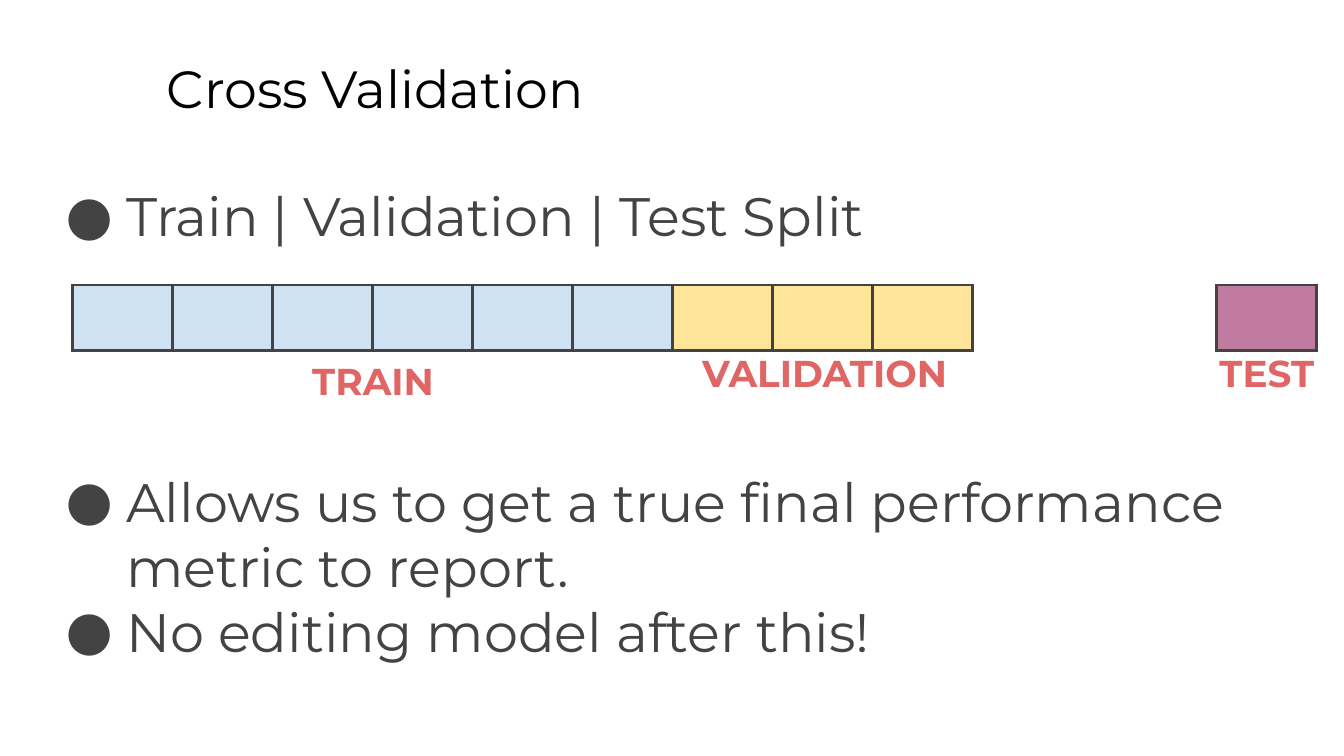
from lxml.etree import SubElement
from pptx import Presentation
from pptx.dml.color import RGBColor
from pptx.enum.text import MSO_ANCHOR as Anchor, MSO_AUTO_SIZE as AutoSize, PP_ALIGN as Align
from pptx.oxml.ns import qn
from pptx.util import Pt

COLORS = {"title": "000000", "body": "434343", "label": "E06666", "border": "434343",
          "train": "CFE2F3", "validation": "FFE599", "test": "C27BA0"}
TITLE = {"size": Pt(28), "bold": False}
BODY = {"size": Pt(29), "bold": False}
LABEL = {"size": Pt(20), "bold": True}
FRAME = {"word_wrap": True, "auto_size": AutoSize.NONE, "vertical_anchor": Anchor.TOP,
         "margin_left": Pt(7.2), "margin_right": Pt(7.2),
         "margin_top": Pt(7.2), "margin_bottom": Pt(7.2)}
CELL_WIDTH, CELL_HEIGHT = 53.6, 35


def apply(target, values):
    """Set each named attribute on the target."""
    for name, value in values.items():
        setattr(target, name, value)


def style(paragraph, font, color):
    """Give a paragraph's runs the deck font, a format and a colour."""
    for run in paragraph.runs:
        apply(run.font, {"name": "Montserrat", **font})
        run.font.color.rgb = RGBColor.from_string(COLORS[color])


def add_title(slide, box, text):
    """Place and format the title placeholder."""
    title = slide.shapes.title
    apply(title, dict(zip(("left", "top", "width", "height"), map(Pt, box))))
    apply(title.text_frame, FRAME)
    heading = title.text_frame.paragraphs[0]
    heading.text, heading.alignment = text, Align.LEFT
    style(heading, TITLE, "title")


def add_bullets(slide, box, points):
    """Write (text, space before) points as a bulleted list."""
    frame = slide.shapes.add_textbox(*map(Pt, box)).text_frame
    apply(frame, FRAME)
    for index, (text, gap) in enumerate(points):
        point = frame.add_paragraph() if index else frame.paragraphs[0]
        point.text = text
        properties = point._p.get_or_add_pPr()
        properties.set("marL", str(Pt(36)))
        properties.set("indent", str(-Pt(32.4)))
        bullet_color = SubElement(properties, qn("a:buClr"))
        SubElement(bullet_color, qn("a:srgbClr"), val=COLORS["body"])
        SubElement(properties, qn("a:buFont"), typeface="Montserrat")
        SubElement(properties, qn("a:buChar"), char="●")
        if gap:
            point.space_before = Pt(gap)
        style(point, BODY, "body")


def fill_cell(cell, color):
    """Outline a cell on all sides and fill it."""
    properties = cell._tc.get_or_add_tcPr()
    for side in ("lnL", "lnR", "lnT", "lnB"):
        line = SubElement(properties, qn(f"a:{side}"), w=str(Pt(1.5)))
        fill = SubElement(line, qn("a:solidFill"))
        SubElement(fill, qn("a:srgbClr"), val=COLORS["border"])
    cell.fill.solid()
    cell.fill.fore_color.rgb = RGBColor.from_string(COLORS[color])


def add_folds(slide, left, top, folds):
    """Draw a one-row table with one coloured cell for each fold."""
    size = (CELL_WIDTH * len(folds), CELL_HEIGHT)
    table = slide.shapes.add_table(1, len(folds), *map(Pt, (left, top, *size))).table
    apply(table, {"first_row": False, "horz_banding": False})
    table.rows[0].height = Pt(CELL_HEIGHT)
    for column, cell, fold in zip(table.columns, table.rows[0].cells, folds):
        column.width = Pt(CELL_WIDTH)
        fill_cell(cell, fold)


def add_label(slide, box, text):
    """Write a bold centred label."""
    frame = slide.shapes.add_textbox(*map(Pt, box)).text_frame
    apply(frame, FRAME)
    label = frame.paragraphs[0]
    label.text, label.alignment = text, Align.CENTER
    style(label, LABEL, "label")


def add_split(slide, left, top):
    """Draw the train, validation and test folds with their labels."""
    add_folds(slide, left, top, ["train"] * 6 + ["validation"] * 3)
    add_folds(slide, left + 612.7, top, ["test"])
    labels = [("TRAIN", 107.3, 31.7, 107.3), ("TEST", 586.1, 27.4, 107.3),
              ("VALIDATION", 326.9, 27.4, 151.9)]
    for text, x, y, width in labels:
        add_label(slide, (left + x, top + y, width, 45.4), text)


def main():
    """Build and save the slide."""
    deck = Presentation()
    apply(deck, {"slide_width": Pt(720), "slide_height": Pt(405)})
    slide = deck.slides.add_slide(deck.slide_layouts[5])
    add_title(slide, (82, 23, 613.4, 45.4), "Cross Validation")
    add_bullets(slide, (24.5, 90.7, 684, 269.3), [
        ("Train | Validation | Test Split", 0),
        ("Allows us to get a true final performance metric to report.", 118),
        ("No editing model after this!", 0)])
    add_split(slide, 38.9, 152.8)
    deck.save("out.pptx")


if __name__ == "__main__":
    main()
